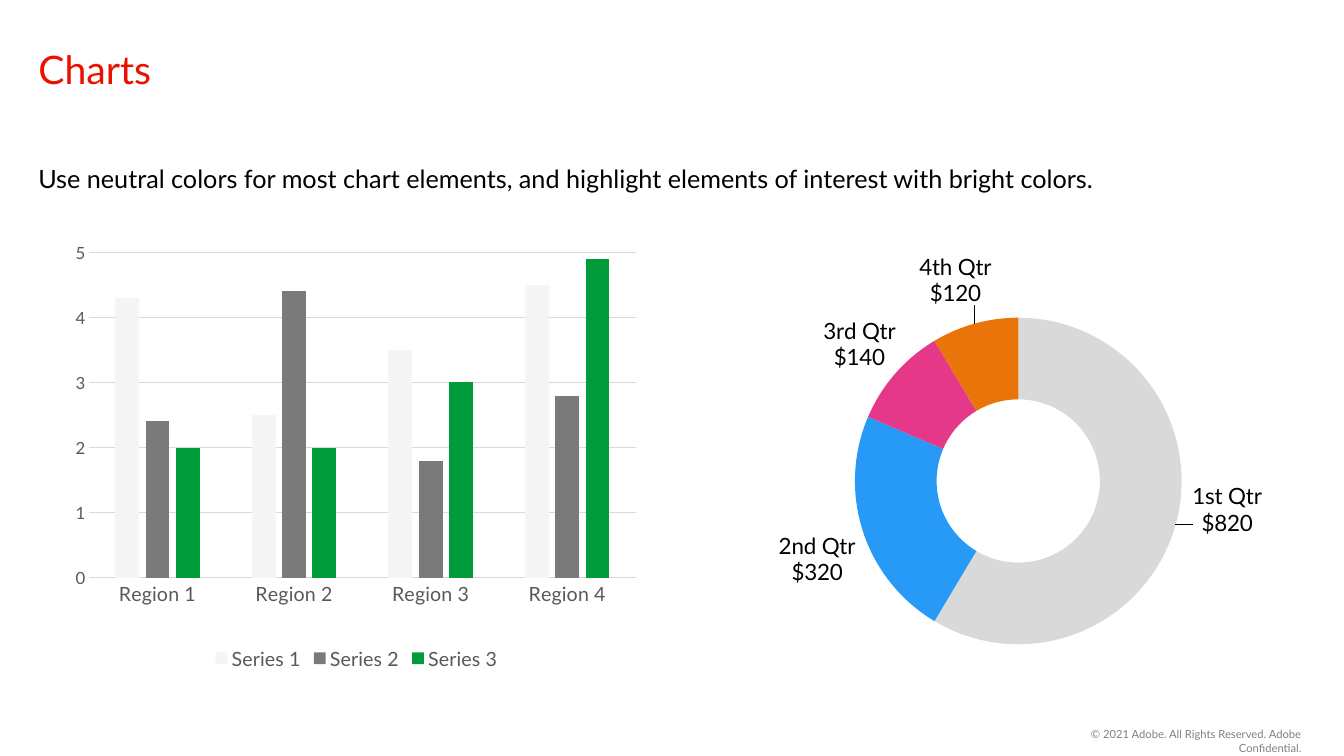
from copy import deepcopy

from pptx import Presentation
from pptx.chart.data import CategoryChartData
from pptx.dml.color import RGBColor
from pptx.enum.chart import XL_CHART_TYPE, XL_LEGEND_POSITION, XL_TICK_MARK
from pptx.enum.text import MSO_ANCHOR, PP_ALIGN
from pptx.oxml import parse_xml
from pptx.oxml.ns import nsdecls, qn
from pptx.util import Inches, Pt

SLIDE_W, SLIDE_H = Inches(13.33), Inches(7.5)
FONT = "Lato"
RULE_GREY, LABEL_GREY = "D9D9D9", "595959"

REGIONS = ["Region 1", "Region 2", "Region 3", "Region 4"]
REGION_SERIES = [
    ("Series 1", (4.3, 2.5, 3.5, 4.5), "F5F5F5"),
    ("Series 2", (2.4, 4.4, 1.8, 2.8), "7A7A7A"),
    ("Series 3", (2, 2, 3, 4.9), "009C3B"),
]
# Quarter, sales, colour, label shift as shares of the chart's size
QUARTERS = [
    ("1st Qtr", 820, "D9D9D9", (0.15, -0.01)),
    ("2nd Qtr", 320, "2799F6", (-0.14, 0.09)),
    ("3rd Qtr", 140, "E63888", (-0.11, -0.13)),
    ("4th Qtr", 120, "E9740A", (-0.05, -0.19)),
]


def rgb(code):
    return RGBColor.from_string(code)


def percent_box(left, top, width, height):
    """Turn percentages of the slide's size into a box in EMU."""
    return (int(SLIDE_W * left / 100), int(SLIDE_H * top / 100),
            int(SLIDE_W * width / 100), int(SLIDE_H * height / 100))


def style_font(font, size, color):
    font.name, font.size = FONT, Pt(size)
    font.color.rgb = rgb(color)


def style_line(line, color):
    line.color.rgb = rgb(color)
    line.width = Pt(0.75)


def add_text(slide, box, text, size, color, align=PP_ALIGN.LEFT,
             anchor=MSO_ANCHOR.TOP, side_inset=0.05):
    frame = slide.shapes.add_textbox(*box).text_frame
    frame.word_wrap = True
    frame.vertical_anchor = anchor
    frame.margin_left = frame.margin_right = Inches(side_inset)
    frame.margin_top = frame.margin_bottom = Inches(0.05)
    paragraph = frame.paragraphs[0]
    paragraph.alignment = align
    run = paragraph.add_run()
    run.text = text
    style_font(run.font, size, color)


def manual_layout(**shares):
    modes = '<c:layoutTarget val="inner"/>' if "w" in shares else ""
    if "w" in shares:
        modes += '<c:xMode val="edge"/><c:yMode val="edge"/>'
    places = "".join(f'<c:{key} val="{share}"/>' for key, share in shares.items())
    return parse_xml(f'<c:layout {nsdecls("c")}><c:manualLayout>{modes}{places}'
                     '</c:manualLayout></c:layout>')


def add_plain_chart(slide, box, kind, categories, series, plot_layout):
    """Add a chart without title, with its plot area at the given shares."""
    chart_data = CategoryChartData()
    chart_data.categories = categories
    for name, values in series:
        chart_data.add_series(name, values)
    chart = slide.shapes.add_chart(kind, *box, chart_data).chart
    chart.has_title = False
    style_font(chart.font, 10, "000000")
    plot_area = chart.plots[0]._element.getparent()
    for layout in plot_area.findall(qn("c:layout")):
        plot_area.remove(layout)
    plot_area.insert(0, manual_layout(**plot_layout))
    return chart


def add_region_columns(slide, box):
    chart = add_plain_chart(
        slide, box, XL_CHART_TYPE.COLUMN_CLUSTERED, REGIONS,
        [(name, values) for name, values, _ in REGION_SERIES],
        {"x": 0.05, "y": 0.04, "w": 0.92, "h": 0.74})
    columns = chart.plots[0]
    columns.gap_width, columns.overlap = 219, -27
    columns.vary_by_categories = False
    for series, (_, _, color) in zip(columns.series, REGION_SERIES):
        series.format.fill.solid()
        series.format.fill.fore_color.rgb = rgb(color)

    for axis, size in ((chart.category_axis, 14), (chart.value_axis, 12)):
        axis.major_tick_mark = axis.minor_tick_mark = XL_TICK_MARK.NONE
        style_font(axis.tick_labels.font, size, LABEL_GREY)
    style_line(chart.category_axis.format.line, RULE_GREY)
    scale = chart.value_axis
    scale.minimum_scale, scale.maximum_scale, scale.major_unit = 0, 5, 1
    scale.format.line.fill.background()
    style_line(scale.major_gridlines.format.line, RULE_GREY)

    chart.has_legend = True
    chart.legend.position = XL_LEGEND_POSITION.BOTTOM
    chart.legend.include_in_layout = False
    style_font(chart.legend.font, 14, LABEL_GREY)


def add_quarter_labels(sales):
    """Label each slice with quarter and value, moved outside the ring."""
    labels = sales.data_labels
    labels.show_value = labels.show_category_name = True
    labels.number_format = '"$"#,##0'
    labels.number_format_is_linked = False
    style_font(labels.font, 16, "000000")
    group = sales._element.find(qn("c:dLbls"))
    group.find(qn("c:showBubbleSize")).addnext(
        parse_xml(f'<c:separator {nsdecls("c")}>\n</c:separator>'))
    shared = [part for part in group if part.tag != qn("c:showLeaderLines")]
    for index, (_, _, _, (dx, dy)) in enumerate(QUARTERS):
        label = parse_xml(f'<c:dLbl {nsdecls("c")}><c:idx val="{index}"/></c:dLbl>')
        label.append(manual_layout(x=dx, y=dy))
        label.extend([deepcopy(part) for part in shared])
        group.insert(index, label)


def add_quarter_ring(slide, box):
    chart = add_plain_chart(
        slide, box, XL_CHART_TYPE.DOUGHNUT, [quarter for quarter, *_ in QUARTERS],
        [("Series 1", [amount for _, amount, *_ in QUARTERS])],
        {"x": 0.21, "y": 0.16, "w": 0.54, "h": 0.75})
    chart.has_legend = False
    ring = chart.plots[0]
    ring._element.find(qn("c:holeSize")).set("val", "64")
    sales = ring.series[0]
    for index, (_, _, color, _) in enumerate(QUARTERS):
        slice_format = sales.points[index].format
        slice_format.fill.solid()
        slice_format.fill.fore_color.rgb = rgb(color)
        slice_format.line.fill.background()
    add_quarter_labels(sales)


def main():
    deck = Presentation()
    deck.slide_width, deck.slide_height = SLIDE_W, SLIDE_H
    slide = deck.slides.add_slide(deck.slide_layouts[6])
    add_text(slide, percent_box(76.29, 95.6, 21.3, 4),
             "© 2021 Adobe. All Rights Reserved. Adobe Confidential.",
             8, "808080", align=PP_ALIGN.RIGHT, side_inset=0.1)
    add_text(slide, percent_box(2.48, 4.13, 94.97, 9.87), "Charts",
             28, "EB1000", anchor=MSO_ANCHOR.MIDDLE)
    add_text(slide, percent_box(2.48, 20.93, 95.05, 66.93),
             "Use neutral colors for most chart elements, and highlight "
             "elements of interest with bright colors.", 18, "000000")
    add_region_columns(slide, percent_box(4.43, 31.07, 44.19, 58.13))
    add_quarter_ring(slide, percent_box(54.16, 32.53, 45.01, 58.13))
    deck.save("out.pptx")


if __name__ == "__main__":
    main()
